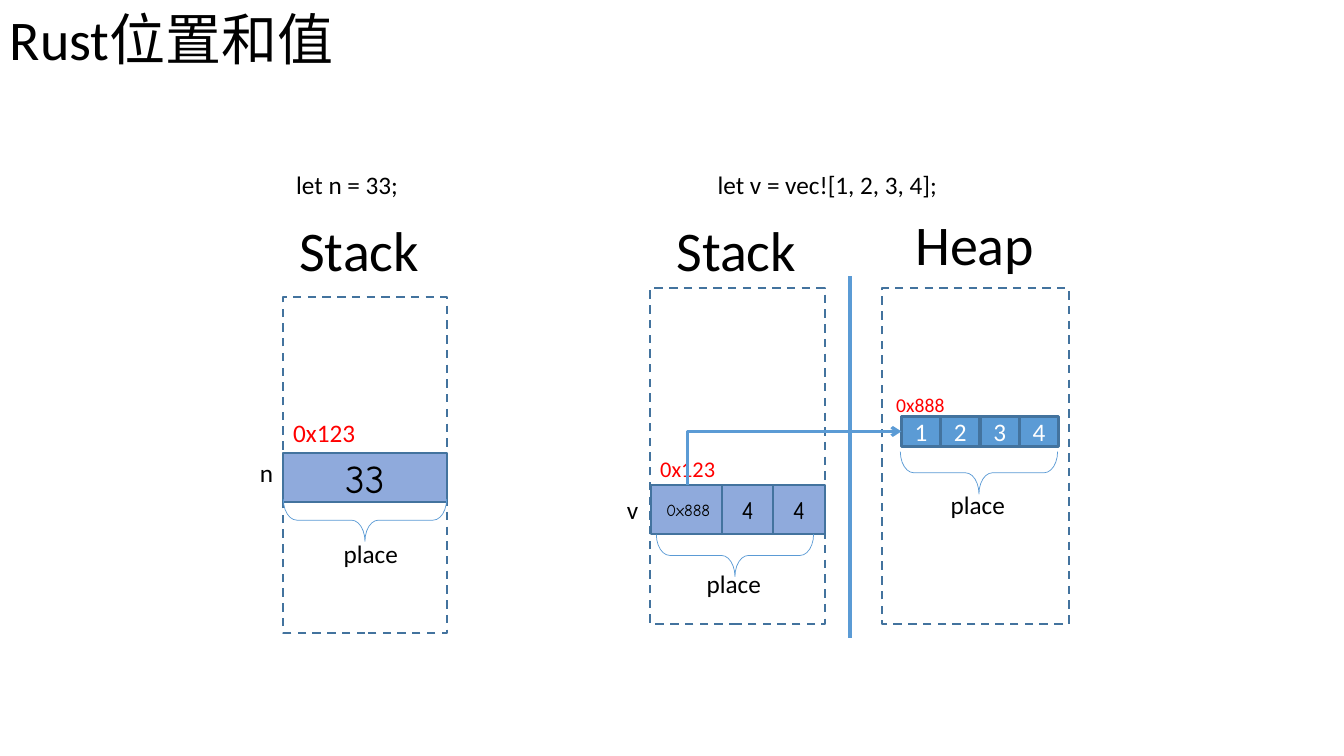
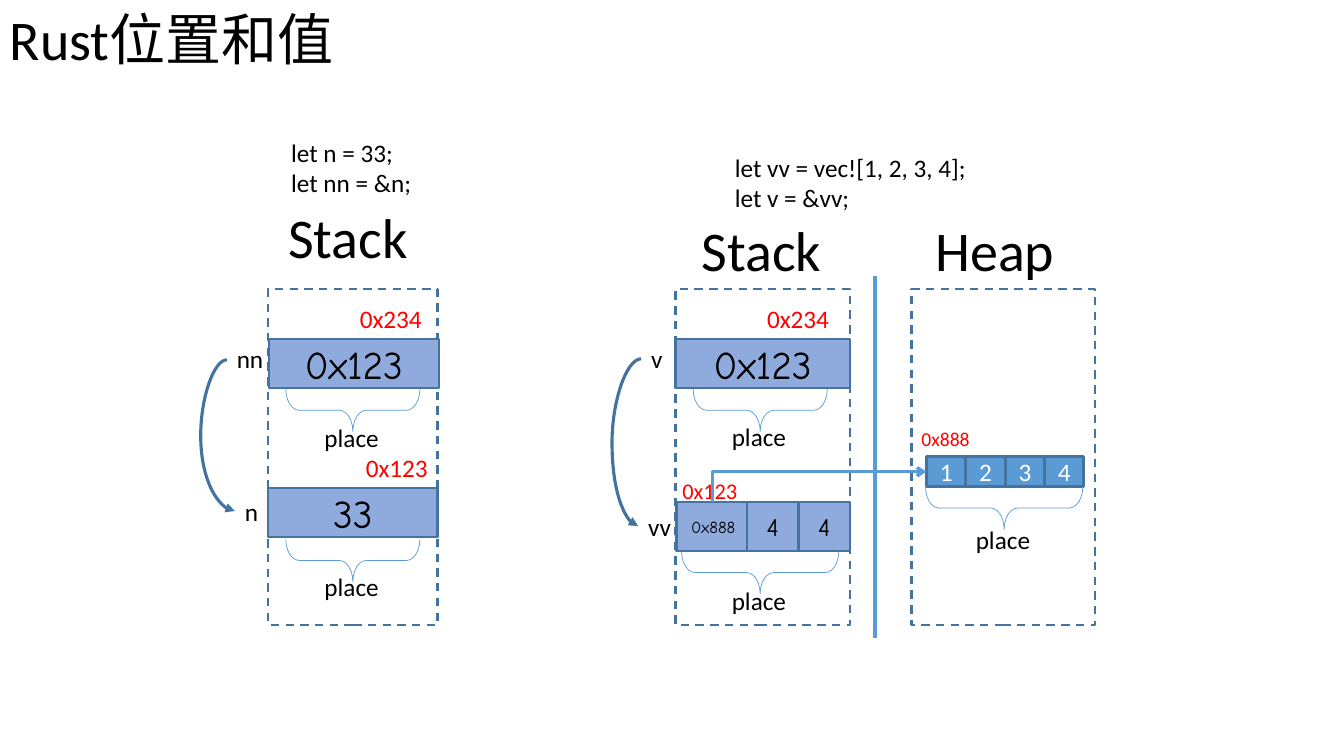
from lxml import etree
from pptx import Presentation
from pptx.dml.color import RGBColor
from pptx.enum.dml import MSO_LINE
from pptx.enum.shapes import MSO_CONNECTOR, MSO_SHAPE
from pptx.enum.text import MSO_ANCHOR, MSO_AUTO_SIZE, PP_ALIGN
from pptx.oxml.ns import qn
from pptx.util import Inches, Pt

RECTANGLE, LEFT_BRACE = MSO_SHAPE.RECTANGLE, MSO_SHAPE.LEFT_BRACE
STRAIGHT, ELBOW, CURVE = MSO_CONNECTOR.STRAIGHT, MSO_CONNECTOR.ELBOW, MSO_CONNECTOR.CURVE
DASH = MSO_LINE.DASH
MIDDLE, CENTER = MSO_ANCHOR.MIDDLE, PP_ALIGN.CENTER
FIT_TEXT = MSO_AUTO_SIZE.SHAPE_TO_FIT_TEXT

COLORS = {
    "black": "000000",
    "white": "FFFFFF",
    "red": "FF0000",
    "outline": "43739E",
    "stack": "8FAADC",
    "heap": "5B9BD5",
}
BODY_FONT, VALUE_FONT = "Calibri", "Comic Neue"

# Label styles: size, colour, height of one line, wraps
STYLES = {
    "heading": (40, "black", 0.77, True),
    "place": (18, "black", 0.4, True),
    "code": (18, "black", 0.4, False),
    "address": (18, "red", 0.4, False),
    "vector address": (16, "red", 0.37, False),
    "heap address": (14, "red", 0.34, True),
}
LINE_STEP = 0.31
TITLE = ("heading", "Rust位置和值", 0, 0, 4.11)
ROW_HEIGHT, BRACE_DEPTH = 0.49, 0.42
FRAME_HEIGHT = 3.33
# Vector on the stack: text, offset, width, size
VECTOR_FIELDS = [("0x888", 0, 0.73, 12), ("4", 0.7, 0.51, 18), ("4", 1.21, 0.51, 18)]
ITEM_WIDTH, ITEM_HEIGHT = 0.39, 0.3

# frames: left, top, width; labels: style, text, left, top, width
# values: text, left, top, width; braces: centre, top, width, place left, place top
# vector, heap: left, top; curves: begin x, begin y, end x, end y, bulge x
SLIDES = [
    {
        "frames": [(2.81, 2.95, 1.62), (6.45, 2.86, 1.73), (8.75, 2.86, 1.85)],
        "labels": [
            ("heading", "Stack", 2.87, 2.09, 1.4),
            ("heading", "Stack", 6.61, 2.09, 1.4),
            ("heading", "Heap", 8.98, 2.03, 1.4),
            ("code", "let n = 33;", 2.84, 1.63, 1.26),
            ("code", "let v = vec![1, 2, 3, 4];", 7.02, 1.63, 2.44),
            ("code", "n", 2.48, 4.49, 0.34),
            ("code", "v", 6.12, 4.85, 0.33),
            ("address", "0x123", 2.81, 4.09, 0.87),
            ("vector address", "0x123", 6.45, 4.47, 0.8),
            ("heap address", "0x888", 8.79, 3.85, 0.81),
        ],
        "values": [("33", 2.81, 4.49, 1.62)],
        "braces": [
            (3.62, 4.95, 1.62, 3.31, 5.29),
            (7.29, 5.3, 1.56, 6.91, 5.59),
            (9.71, 4.48, 1.56, 9.33, 4.81),
        ],
        "vector": (6.46, 4.81),
        "heap": (8.94, 4.13),
        "curves": [],
    },
    {
        "frames": [(2.66, 2.87, 1.68), (6.7, 2.87, 1.73), (9.04, 2.87, 1.82)],
        "labels": [
            ("heading", "Stack", 2.76, 1.96, 1.4),
            ("heading", "Stack", 6.86, 2.09, 1.4),
            ("heading", "Heap", 9.18, 2.09, 1.4),
            ("code", "let n = 33;\nlet nn = &n;", 2.79, 1.31, 1.44),
            ("code", "let vv = vec![1, 2, 3, 4];\nlet v = &vv;", 7.19, 1.46, 2.57),
            ("code", "nn", 2.25, 3.36, 0.48),
            ("code", "n", 2.33, 4.87, 0.34),
            ("code", "v", 6.36, 3.36, 0.33),
            ("code", "vv", 6.33, 5.02, 0.45),
            ("address", "0x234", 3.47, 2.96, 0.87),
            ("address", "0x123", 3.53, 4.44, 0.87),
            ("address", "0x234", 7.51, 2.96, 0.87),
            ("vector address", "0x123", 6.67, 4.68, 0.8),
            ("heap address", "0x888", 9.04, 4.19, 0.81),
        ],
        "values": [
            ("0x123", 2.67, 3.36, 1.68),
            ("33", 2.66, 4.84, 1.68),
            ("0x123", 6.7, 3.36, 1.73),
        ],
        "braces": [
            (3.5, 3.86, 1.33, 3.12, 4.14),
            (3.5, 5.35, 1.33, 3.12, 5.62),
            (7.54, 3.86, 1.33, 7.16, 4.13),
            (7.54, 5.47, 1.56, 7.16, 5.76),
            (9.96, 4.83, 1.56, 9.58, 5.15),
        ],
        "vector": (6.71, 4.98),
        "heap": (9.19, 4.53),
        "curves": [(2.25, 3.57, 2.33, 5.07, 1.99), (6.36, 3.56, 6.33, 5.22, 6.07)],
    },
]


def write_text(shape, text, size, color, font):
    shape.text_frame.text = text
    for para in shape.text_frame.paragraphs:
        for span in para.runs:
            span.font.size = Pt(size)
            span.font.name = font
            span.font.color.rgb = RGBColor.from_string(COLORS[color])


def add_block(page, kind, left, top, width, height, line, weight, fill=None):
    block = page.shapes.add_shape(kind, Inches(left), Inches(top), Inches(width), Inches(height))
    block.shadow.inherit = False
    block.line.color.rgb = RGBColor.from_string(COLORS[line])
    block.line.width = Pt(weight)
    if fill:
        block.fill.solid()
        block.fill.fore_color.rgb = RGBColor.from_string(COLORS[fill])
    else:
        block.fill.background()
    return block


deck = Presentation()
deck.slide_width, deck.slide_height = Inches(13.33), Inches(7.5)

for content in SLIDES:
    page = deck.slides.add_slide(deck.slide_layouts[6])

    for left, top, width in content["frames"]:
        frame = add_block(page, RECTANGLE, left, top, width, FRAME_HEIGHT, "outline", 1.5)
        frame.line.dash_style = DASH

    places = [("place", "place", left, top, 0.77) for *_, left, top in content["braces"]]
    for style, text, left, top, width in [TITLE] + content["labels"] + places:
        size, color, height, wraps = STYLES[style]
        height += LINE_STEP * text.count("\n")
        box = page.shapes.add_textbox(Inches(left), Inches(top), Inches(width), Inches(height))
        write_text(box, text, size, color, BODY_FONT)
        box.text_frame.word_wrap = wraps
        box.text_frame.auto_size = FIT_TEXT

    vector_left, vector_top = content["vector"]
    heap_left, heap_top = content["heap"]
    stack_cells = [(text, left, top, width, 28) for text, left, top, width in content["values"]]
    for text, offset, width, size in VECTOR_FIELDS:
        stack_cells.append((text, vector_left + offset, vector_top, width, size))
    cells = []
    for text, left, top, width, size in stack_cells:
        cell = add_block(page, RECTANGLE, left, top, width, ROW_HEIGHT, "outline", 1.5, "stack")
        write_text(cell, text, size, "black", VALUE_FONT)
        cells.append(cell)
    for index in range(4):
        left = heap_left + index * ITEM_WIDTH
        cell = add_block(page, RECTANGLE, left, heap_top, ITEM_WIDTH, ITEM_HEIGHT,
                         "outline", 2.25, "heap")
        write_text(cell, str(index + 1), 18, "white", BODY_FONT)
        cells.append(cell)
    for cell in cells:
        cell.text_frame.word_wrap = True
        cell.text_frame.vertical_anchor = MIDDLE
        cell.text_frame.paragraphs[0].alignment = CENTER

    # A brace is a tall left brace turned to point down
    for center, top, width, *_ in content["braces"]:
        brace = add_block(page, LEFT_BRACE, center - BRACE_DEPTH / 2,
                          top + BRACE_DEPTH / 2 - width / 2, BRACE_DEPTH, width, "heap", 0.5)
        brace.rotation = 270
        brace.adjustments[0] = 0.319

    # The pointer is laid out unrotated about its centre, then turned
    start_x, end_y = vector_left + 0.36, heap_top + ITEM_HEIGHT / 2
    run, rise = heap_left - start_x, vector_top - end_y
    middle_x, middle_y = start_x + run / 2, end_y + rise / 2
    divider_x = vector_left + 1.97
    # kind, begin x, begin y, end x, end y, colour, weight, arrowhead, bulge x
    lines = [
        (STRAIGHT, divider_x, 2.74, divider_x, 6.33, "heap", 3, None, None),
        (ELBOW, middle_x - rise / 2, middle_y - run / 2, middle_x + rise / 2,
         middle_y + run / 2, "heap", 2.25, "arrow", None),
    ]
    for *ends, bulge_x in content["curves"]:
        lines.append((CURVE, *ends, "outline", 2.25, "triangle", bulge_x))

    for kind, begin_x, begin_y, end_x, end_y, color, weight, head, bulge_x in lines:
        line = page.shapes.add_connector(
            kind, Inches(begin_x), Inches(begin_y), Inches(end_x), Inches(end_y))
        line.line.color.rgb = RGBColor.from_string(COLORS[color])
        line.line.width = Pt(weight)
        properties = line.element.spPr
        geometry = properties.find(qn("a:prstGeom"))
        if kind == ELBOW:
            geometry.set("prst", "bentConnector2")
            properties.find(qn("a:xfrm")).set("rot", str(270 * 60000))
        if kind == CURVE:
            bend = round(100000 * (bulge_x - begin_x) / (end_x - begin_x))
            guides = geometry.find(qn("a:avLst"))
            etree.SubElement(guides, qn("a:gd"), name="adj1", fmla=f"val {bend}")
        if head:
            etree.SubElement(properties.find(qn("a:ln")), qn("a:tailEnd"), type=head)
        etree.SubElement(properties, qn("a:effectLst"))

deck.save("out.pptx")
